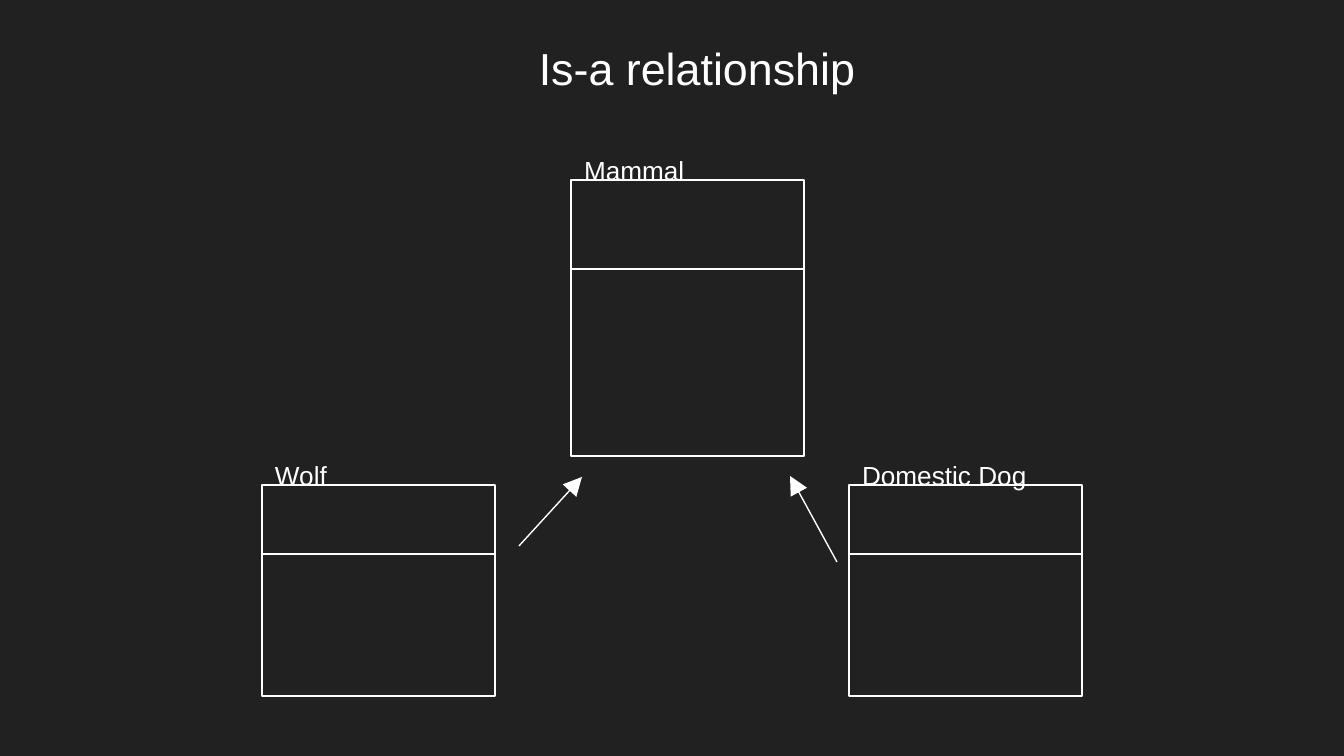
import pptx
import pptx.util
import pptx.dml.color
import pptx.enum.shapes
import pptx.enum.text
import pptx.oxml
import pptx.oxml.ns

PX = 914400 / 134.4
WIDTH, HEIGHT = 1344, 756
BACKGROUND, WHITE = "212121", "FFFFFF"
LABEL_HEIGHT = 39
INSET = 13


def px(length):
    return pptx.util.Emu(round(length * PX))


def paint(color_format, value):
    color_format.rgb = pptx.dml.color.RGBColor.from_string(value)


def set_line(line):
    line.width = pptx.util.Pt(0.75)
    line.fill.solid()
    paint(line.color, WHITE)


def add_text(page, box, text, size, align=pptx.enum.text.PP_ALIGN.LEFT):
    frame = page.shapes.add_textbox(*map(px, box)).text_frame
    layout = {
        "word_wrap": True,
        "vertical_anchor": pptx.enum.text.MSO_ANCHOR.TOP,
        "margin_left": px(INSET),
        "margin_right": px(INSET),
        "margin_top": px(INSET),
        "margin_bottom": px(INSET),
    }
    for name, value in layout.items():
        setattr(frame, name, value)
    para = frame.paragraphs[0]
    para.alignment = align
    span = para.add_run()
    span.text = text
    for name, value in {"name": "Arial", "size": pptx.util.Pt(size)}.items():
        setattr(span.font, name, value)
    paint(span.font.color, WHITE)


def add_class(page, box, name, head):
    """Class box: a name above a header and a body compartment."""
    left, top, width, height = box
    for offset, part in ((0, head), (head, height - head)):
        shape = page.shapes.add_shape(
            pptx.enum.shapes.MSO_SHAPE.RECTANGLE,
            *map(px, (left, top + offset, width, part)))
        shape.shadow.inherit = False
        shape.fill.background()
        set_line(shape.line)
    add_text(page, (left, top - LABEL_HEIGHT, width, LABEL_HEIGHT), name, 14)


def add_arrow(page, start, end):
    arrow = page.shapes.add_connector(
        pptx.enum.shapes.MSO_CONNECTOR.STRAIGHT, *map(px, start + end))
    set_line(arrow.line)
    head = pptx.oxml.parse_xml(
        '<a:tailEnd %s type="triangle" w="lg" len="lg"/>'
        % pptx.oxml.ns.nsdecls("a"))
    arrow.line._get_or_add_ln().append(head)
    arrow._element.spPr.append(
        pptx.oxml.parse_xml("<a:effectLst %s/>" % pptx.oxml.ns.nsdecls("a")))


def add_diagram(page, box):
    """Parent class on top, two child classes below, arrows to the parent."""
    left, top, width, height = box
    class_width, child_height, child_head = 233, 211, 69
    child_top = top + height - child_height

    # Classes
    add_class(page, (left + 309, top, class_width, 276), "Mammal", 89)
    children = (("Wolf", left), ("Domestic Dog", left + width - class_width))
    for name, child_left in children:
        add_class(page, (child_left, child_top, class_width, child_height),
                  name, child_head)

    # Inheritance arrows
    for start, end in (((257, 366), (320, 297)), ((575, 382), (528, 296))):
        add_arrow(page, (left + start[0], top + start[1]),
                  (left + end[0], top + end[1]))


def main():
    deck = pptx.Presentation()
    deck.slide_width, deck.slide_height = px(WIDTH), px(HEIGHT)
    page = deck.slides.add_slide(deck.slide_layouts[6])
    page.background.fill.solid()
    paint(page.background.fill.fore_color, BACKGROUND)

    add_diagram(page, (262, 180, 820, 516))
    add_text(page, (262, 28, 870, 101), "Is-a relationship", 24,
             pptx.enum.text.PP_ALIGN.CENTER)
    deck.save("out.pptx")


if __name__ == "__main__":
    main()
